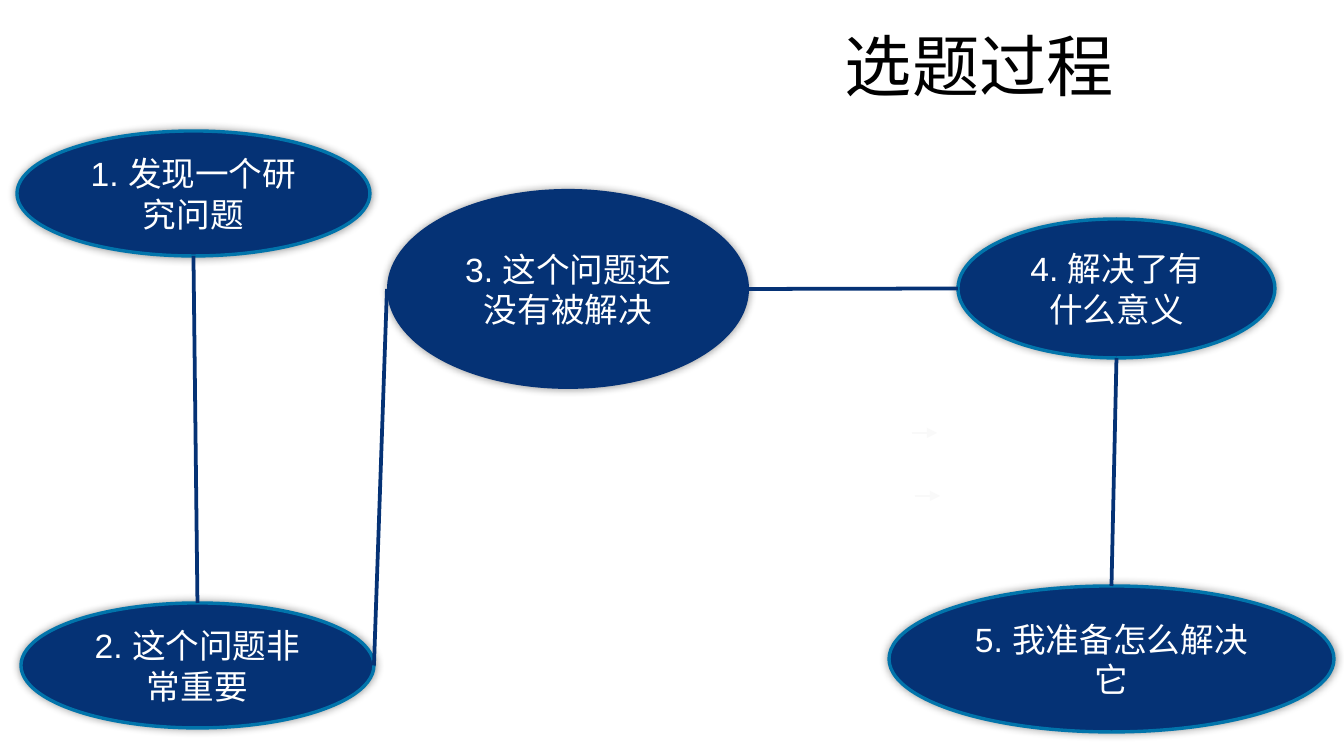
import dataclasses

import lxml.etree
import pptx
import pptx.dml.color
import pptx.enum.shapes
import pptx.enum.text
import pptx.oxml
import pptx.oxml.ns
import pptx.util

SCALE = 914400 / 121  # EMU in one px
ALIGN = pptx.enum.text.PP_ALIGN
MIDDLE = pptx.enum.text.MSO_ANCHOR.MIDDLE
SITES = {"top": (0, 0.5, 0), "left": (2, 0, 0.5),
         "bottom": (4, 0.5, 1), "right": (6, 1, 0.5)}


@dataclasses.dataclass
class Theme:
    navy: str = "053275"
    rim: str = "0174AB"
    white: str = "FFFFFF"
    black: str = "000000"
    faint: str = "F9F9F9"
    latin: str = "Arial"
    asian: str = "Noto Sans CJK SC"
    title: int = 40
    body: int = 20


def px(num):
    return pptx.util.Emu(round(num * SCALE))


def rgb(code):
    return pptx.dml.color.RGBColor.from_string(code)


def add(parent, tag, **attrs):
    node = lxml.etree.SubElement(parent, pptx.oxml.ns.qn(tag))
    for key, val in attrs.items():
        node.set(key, str(val))
    return node


def write(frame, text, *, size, color, latin, asian, align, inset, space=1.0):
    frame.word_wrap = True
    frame.auto_size = pptx.enum.text.MSO_AUTO_SIZE.NONE
    frame.vertical_anchor = MIDDLE
    frame.margin_left = frame.margin_right = px(inset)
    frame.margin_top = frame.margin_bottom = px(inset // 2)
    para = frame.paragraphs[0]
    para.alignment = align
    para.line_spacing = space
    run = para.add_run()
    run.text = text
    run.font.size = pptx.util.Pt(size)
    run.font.name = latin
    run.font.color.rgb = rgb(color)
    add(run.font._element, "a:ea", typeface=asian)


class Deck:
    def __init__(self, theme):
        self.theme = theme
        self.show = pptx.Presentation()
        self.show.slide_width, self.show.slide_height = px(1344), px(756)
        self.slide = self.show.slides.add_slide(self.show.slide_layouts[5])

    def title(self, text, left, top, width, height):
        box = self.slide.shapes.title
        box.left, box.top, box.width, box.height = map(px, (left, top, width, height))
        look = self.theme
        write(box.text_frame, text, size=look.title, color=look.black,
              latin=look.asian, asian=look.asian, align=ALIGN.LEFT,
              inset=10, space=0.9)

    def oval(self, text, left, top, width, height, rim=True):
        look = self.theme
        shape = self.slide.shapes.add_shape(
            pptx.enum.shapes.MSO_SHAPE.OVAL, *map(px, (left, top, width, height)))
        shape.fill.solid()
        shape.fill.fore_color.rgb = rgb(look.navy)
        if rim:
            shape.line.color.rgb = rgb(look.rim)
            shape.line.width = pptx.util.Pt(2)
        else:
            shape.line.fill.background()
        # Soft glow-like shadow with no offset
        shape.shadow.inherit = False
        glow = add(shape._element.spPr.find(pptx.oxml.ns.qn("a:effectLst")),
                   "a:outerShdw", blurRad=pptx.util.Pt(5), dist=0, dir=0,
                   algn="ctr", rotWithShape=0)
        add(add(glow, "a:srgbClr", val=look.black), "a:alpha", val=40000)
        write(shape.text_frame, text, size=look.body, color=look.white,
              latin=look.latin, asian=look.asian, align=ALIGN.CENTER, inset=12)
        return shape

    def line(self, start, end, color, width):
        link = self.slide.shapes.add_connector(
            pptx.enum.shapes.MSO_CONNECTOR.STRAIGHT, *start, *end)
        link.line.color.rgb = rgb(color)
        link.line.width = pptx.util.Pt(width)
        add(link._element.spPr, "a:effectLst")
        return link

    def link(self, first, side, last, other):
        ends = [(first, SITES[side]), (last, SITES[other])]
        spots = [(round(s.left + s.width * x), round(s.top + s.height * y))
                 for s, (_, x, y) in ends]
        line = self.line(*spots, self.theme.navy, 2.25)
        # Glue both ends to the ovals
        glue = line._element.find(".//" + pptx.oxml.ns.qn("p:cNvCxnSpPr"))
        for tag, (shape, site) in zip(("a:stCxn", "a:endCxn"), ends):
            add(glue, tag, id=shape.shape_id, idx=site[0])

    def arrow(self, left, top, width):
        line = self.line((px(left), px(top)), (px(left + width), px(top)),
                         self.theme.faint, 0.75)
        add(line.line._get_or_add_ln(), "a:tailEnd", type="triangle")


def main():
    deck = Deck(Theme())
    deck.title("选题过程", 835, 30, 509, 80)

    # Faint arrows
    for left, top in ((912, 433), (915, 496)):
        deck.arrow(left, top, 25)

    # Steps
    find = deck.oval("1. 发现一个研究问题", 17, 131, 353, 125)
    weight = deck.oval("2. 这个问题非常重要", 21, 603, 353, 125)
    gap = deck.oval("3. 这个问题还没有被解决", 387, 189, 362, 200, rim=False)
    worth = deck.oval("4. 解决了有什么意义", 958, 219, 317, 139)
    plan = deck.oval("5. 我准备怎么解决它", 889, 586, 445, 146)

    # Links from step to step
    deck.link(find, "bottom", weight, "top")
    deck.link(weight, "right", gap, "left")
    deck.link(gap, "right", worth, "left")
    deck.link(worth, "bottom", plan, "top")

    deck.show.save("out.pptx")


if __name__ == "__main__":
    main()
